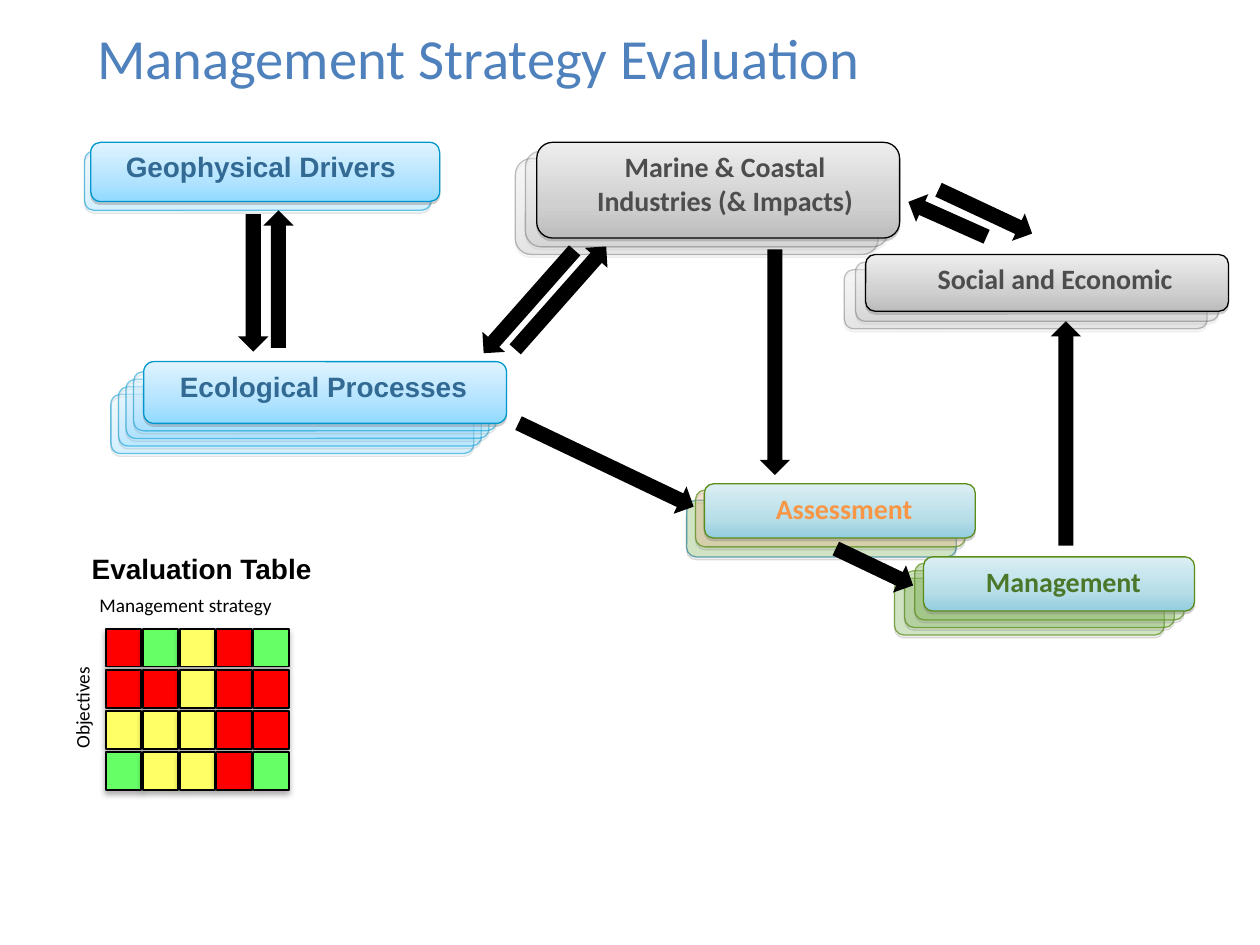
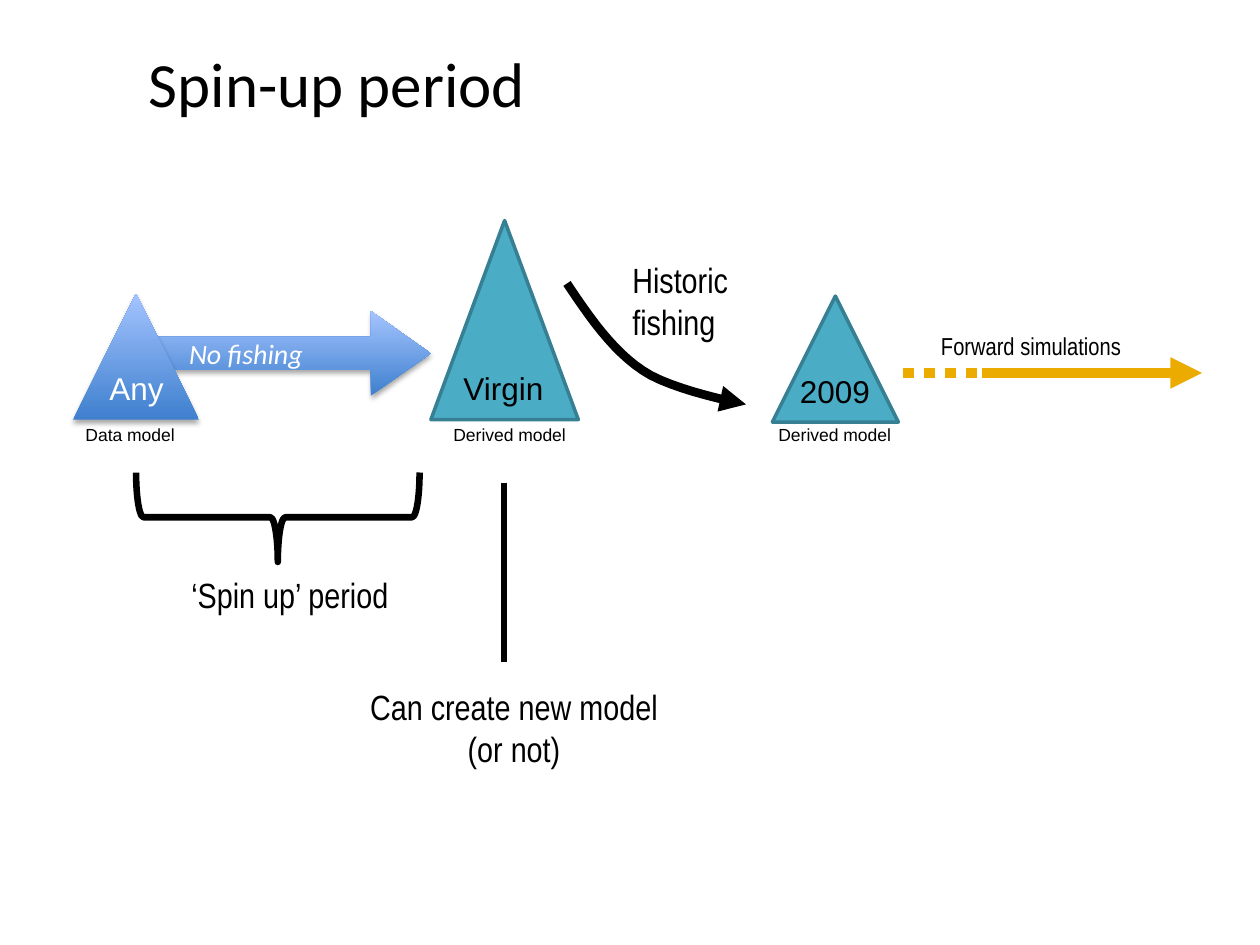
import pptx
import pptx.dml.color
import pptx.enum.dml
import pptx.enum.shapes
import pptx.enum.text
import pptx.oxml
import pptx.oxml.ns
import pptx.util

Inches = pptx.util.Inches
RGB = pptx.dml.color.RGBColor
SHAPE = pptx.enum.shapes.MSO_SHAPE
ALIGN = pptx.enum.text.PP_ALIGN

BLACK, WHITE = RGB(0, 0, 0), RGB(255, 255, 255)
TITLE_BLUE = RGB(0x4F, 0x81, 0xBD)
LABEL_BLUE, LABEL_GRAY = RGB(0x32, 0x6A, 0x94), RGB(0x4D, 0x4D, 0x4D)
LABEL_ORANGE, LABEL_GREEN = RGB(0xF7, 0x96, 0x46), RGB(0x4A, 0x77, 0x29)
EDGE_BLUE, EDGE_GREEN = RGB(0x00, 0x98, 0xCC), RGB(0x5A, 0x8E, 0x18)
EDGE_TEAL, TEAL, TEAL_DARK = RGB(0x31, 0x85, 0x9C), RGB(0x4B, 0xAC, 0xC6), RGB(0x37, 0x7F, 0x92)
GHOST_GREEN, GHOST_ORANGE = RGB(0x8E, 0xC9, 0x63), RGB(0xFA, 0xC0, 0x90)
GOLD = RGB(0xEB, 0xAB, 0x00)

# Gradients: angle, then (position, colour) stops
SKY = 90, [(0, RGB(0xE0, 0xF4, 0xFF)), (65, RGB(0xB2, 0xE3, 0xFF)), (100, RGB(0x90, 0xDA, 0xFF))]
GRAY = 90, [(0, RGB(0xED, 0xED, 0xED)), (65, RGB(0xD0, 0xD0, 0xD0)), (100, RGB(0xBC, 0xBC, 0xBC))]
AQUA = 90, [(0, RGB(0xDB, 0xEE, 0xF4)), (64, RGB(0xB7, 0xDE, 0xE8)), (100, RGB(0x93, 0xCD, 0xDD))]
BLUE = 270, [(0, RGB(0x3F, 0x80, 0xCE)), (100, RGB(0xA4, 0xC4, 0xFF))]

# Shadows: colour, opacity, blur and distance in points
CARD_SHADOW = RGB(0x80, 0x80, 0x80), 38, 0, 1.6
CELL_SHADOW = BLACK, 32, 3.5, 2.2
ARROW_SHADOW = BLACK, 35, 3.1, 1.8
GHOST_OPACITY = 31

HEADING = {"size": 16, "name": "Arial", "bold": True}
CARD_BOLD = {"size": 16, "name": "Calibri", "bold": True}
AXIS = {"size": 11, "name": "Calibri"}
STATE = {"size": 18, "name": "Arial"}
CAPTION = {"size": 10, "name": "Arial"}
NOTE = {"size": 20, "name": "Arial Narrow"}

# Each stack: front card, its label, and the fainter cards behind it, nearest first
STACKS = [
    dict(text="Geophysical Drivers", front=(0.72, 1.13, 2.77, 0.47), fill=SKY, edge=EDGE_BLUE,
         label=(0.18, 2.37), font=HEADING, color=LABEL_BLUE, align=ALIGN.LEFT, edge_opacity=52,
         ghost=(0.67, 1.2, 2.75, 0.47), step=(0, 0), ghosts=[(SKY, EDGE_BLUE)]),
    dict(text="Ecological Processes", front=(1.14, 2.87, 2.88, 0.49), fill=SKY, edge=EDGE_BLUE,
         label=(0.19, 2.63), font=HEADING, color=LABEL_BLUE, align=ALIGN.LEFT, edge_opacity=52,
         ghost=(1.06, 2.95, 2.88, 0.47), step=(0.06, 0.06), ghosts=[(SKY, EDGE_BLUE)] * 4),
    dict(text="Marine & Coastal Industries (& Impacts)", front=(4.26, 1.13, 2.88, 0.76),
         fill=GRAY, edge=BLACK, label=(0.18, 2.63), font=CARD_BOLD, color=LABEL_GRAY,
         align=ALIGN.CENTER, edge_opacity=21,
         ghost=(4.17, 1.2, 2.88, 0.76), step=(0.08, 0.06), ghosts=[(GRAY, BLACK)] * 2),
    dict(text="Social and Economic", front=(6.87, 2.02, 2.88, 0.45), fill=GRAY, edge=BLACK,
         label=(0.19, 2.63), font=CARD_BOLD, color=LABEL_GRAY, align=ALIGN.CENTER, edge_opacity=21,
         ghost=(6.79, 2.08, 2.88, 0.47), step=(0.09, 0.06), ghosts=[(GRAY, BLACK)] * 2),
    dict(text="Assessment", front=(5.59, 3.84, 2.15, 0.43), fill=AQUA, edge=EDGE_GREEN,
         label=(0.07, 2.08), font=CARD_BOLD, color=LABEL_ORANGE, align=ALIGN.CENTER, edge_opacity=72,
         ghost=(5.52, 3.89, 2.14, 0.45), step=(0.07, 0.08),
         ghosts=[(GHOST_ORANGE, EDGE_GREEN), (GHOST_GREEN, EDGE_TEAL)]),
    dict(text="Management", front=(7.33, 4.42, 2.15, 0.43), fill=AQUA, edge=EDGE_GREEN,
         label=(0.07, 2.08), font=CARD_BOLD, color=LABEL_GREEN, align=ALIGN.CENTER, edge_opacity=72,
         ghost=(7.26, 4.47, 2.14, 0.45), step=(0.08, 0.06), ghosts=[(GHOST_GREEN, EDGE_GREEN)] * 3),
]

# Flow arrows: preset, left, top, length, rotation
FLOW_WIDTH = 0.24
FLOWS = [
    (SHAPE.DOWN_ARROW, 4.08, 1.85, 1.09, 41.5), (SHAPE.UP_ARROW, 4.33, 1.82, 1.09, 41.5),
    (SHAPE.DOWN_ARROW, 1.89, 1.7, 1.09, 0), (SHAPE.UP_ARROW, 2.09, 1.67, 1.09, 0),
    (SHAPE.UP_ARROW, 4.69, 2.92, 1.54, 115.5), (SHAPE.DOWN_ARROW, 6.03, 1.98, 1.79, 0),
    (SHAPE.UP_ARROW, 6.82, 4.16, 0.68, 115.5), (SHAPE.UP_ARROW, 8.34, 2.55, 1.78, 0),
    (SHAPE.UP_ARROW, 7.4, 1.4, 0.68, 294), (SHAPE.UP_ARROW, 7.7, 1.27, 0.82, 115.1),
]

SCORES = ["RGYRG", "RRYRR", "YYYRR", "GYYRG"]
SCORE_COLORS = {"R": RGB(255, 0, 0), "G": RGB(0x66, 0xFF, 0x66), "Y": RGB(0xFF, 0xFF, 0x66)}
GRID_LEFT, GRID_TOP, CELL_WIDTH, CELL_HEIGHT = 0.84, 4.99, 0.28, 0.3
COLUMN_PITCH, ROW_PITCH = 0.293, 0.327

# Model states: box, fill, edge, shadow
MODELS = [
    ((3.42, 1.75, 1.17, 1.58), TEAL, TEAL_DARK, None),
    ((0.58, 2.33, 1, 1), BLUE, None, ARROW_SHADOW),
    ((6.13, 2.35, 1, 1), TEAL, TEAL_DARK, None),
]
SPIN_UP_TEXTS = [
    ("Forward simulations", (7.37, 2.58, 2.5, 0.33), {**NOTE, "size": 14}, BLACK, ALIGN.LEFT),
    ("Virgin", (3.58, 2.88, 1.05, 0.4), STATE, BLACK, ALIGN.LEFT),
    ("Any", (0.77, 2.88, 0.83, 0.4), STATE, WHITE, ALIGN.LEFT),
    ("2009", (6.25, 2.9, 0.83, 0.4), STATE, BLACK, ALIGN.LEFT),
    ("Data model", (0.58, 3.32, 1.75, 0.27), CAPTION, BLACK, ALIGN.LEFT),
    ("Derived model", (3.5, 3.32, 1.75, 0.27), CAPTION, BLACK, ALIGN.LEFT),
    ("Derived model", (6.08, 3.32, 1.17, 0.27), CAPTION, BLACK, ALIGN.LEFT),
    ("‘Spin up’ period", (1.42, 4.5, 2.5, 0.44), NOTE, BLACK, ALIGN.LEFT),
    ("Historic fishing", (4.92, 2, 1.25, 0.77), NOTE, BLACK, ALIGN.LEFT),
    ("Can create new model\n(or not)", (2.83, 5.39, 2.5, 0.77), NOTE, BLACK, ALIGN.CENTER),
]
FISHING_CURVE = [
    [(4.5, 2.25), (4.68, 2.52), (4.86, 2.78), (5.1, 2.94)],
    [(5.1, 2.94), (5.33, 3.1), (5.92, 3.21), (5.92, 3.21)],
]
CURVE_STEPS = 12


def inches(values):
    return [Inches(value) for value in values]


def append_xml(parent, tag, inner="", attributes=""):
    namespace = pptx.oxml.ns.nsdecls("a")
    parent.append(pptx.oxml.parse_xml(f"<a:{tag} {namespace} {attributes}>{inner}</a:{tag}>"))


def color_xml(color, opacity):
    return f'<a:srgbClr val="{color}"><a:alpha val="{opacity * 1000}"/></a:srgbClr>'


def paint(shape, fill=None, edge=None, edge_width=0.75, opacity=100, edge_opacity=100, shadow=None):
    """Set fill (colour, gradient or None), outline and shadow in the order the schema wants."""
    properties = shape.element.spPr
    if fill is None:
        shape.fill.background()
    elif isinstance(fill, RGB):
        append_xml(properties, "solidFill", color_xml(fill, opacity))
    else:
        angle, stops = fill
        marks = "".join(f'<a:gs pos="{position * 1000}">{color_xml(color, opacity)}</a:gs>'
                        for position, color in stops)
        append_xml(properties, "gradFill",
                   f'<a:gsLst>{marks}</a:gsLst><a:lin ang="{angle * 60000}" scaled="0"/>',
                   'rotWithShape="1"')
    if edge is None:
        shape.line.fill.background()
    else:
        shape.line.color.rgb = edge
        shape.line.width = pptx.util.Pt(edge_width)
        edge_color = properties.find(pptx.oxml.ns.qn("a:ln")).find(".//" + pptx.oxml.ns.qn("a:srgbClr"))
        append_xml(edge_color, "alpha", attributes=f'val="{edge_opacity * 1000}"')
    add_shadow(shape, shadow)


def add_shadow(shape, shadow=None):
    effect = ""
    if shadow:
        color, opacity, blur, distance = shadow
        effect = (f'<a:outerShdw blurRad="{round(blur * 12700)}" dist="{round(distance * 12700)}" '
                  f'dir="5400000" rotWithShape="0">{color_xml(color, opacity)}</a:outerShdw>')
    append_xml(shape.element.spPr, "effectLst", effect)


def add_arrowhead(shape):
    append_xml(shape.element.spPr.find(pptx.oxml.ns.qn("a:ln")), "tailEnd", attributes='type="triangle"')


def add_preset(page, preset, box, **look):
    shape = page.shapes.add_shape(preset, *inches(box))
    paint(shape, **look)
    return shape


def write(shape, text, font, color, align=ALIGN.LEFT):
    frame = shape.text_frame
    frame.word_wrap = True
    frame.auto_size = pptx.enum.text.MSO_AUTO_SIZE.NONE
    frame.text = text
    for para in frame.paragraphs:
        para.alignment = align
        for name, value in font.items():
            setattr(para.font, name, pptx.util.Pt(value) if name == "size" else value)
        para.font.color.rgb = color


def add_text(page, text, box, font, color=BLACK, align=ALIGN.LEFT):
    text_box = page.shapes.add_textbox(*inches(box))
    write(text_box, text, font, color, align)
    return text_box


def add_line(page, start, end, color, width, dash=None):
    line = page.shapes.add_connector(pptx.enum.shapes.MSO_CONNECTOR.STRAIGHT, *inches(start + end))
    line.line.color.rgb = color
    line.line.width = pptx.util.Pt(width)
    if dash:
        line.line.dash_style = dash
    add_shadow(line)
    return line


def add_page(deck, title, box, size, color):
    page = deck.slides.add_slide(deck.slide_layouts[5])
    heading = page.shapes.title
    heading.left, heading.top, heading.width, heading.height = inches(box)
    write(heading, title, {"size": size, "name": "Calibri"}, color)
    heading.text_frame.vertical_anchor = pptx.enum.text.MSO_ANCHOR.MIDDLE
    return page


def add_stack(page, stack):
    left, top, width, height = stack["ghost"]
    step_x, step_y = stack["step"]
    for index, (fill, edge) in reversed(list(enumerate(stack["ghosts"]))):
        box = left - index * step_x, top + index * step_y, width, height
        add_preset(page, SHAPE.ROUNDED_RECTANGLE, box, fill=fill, edge=edge, opacity=GHOST_OPACITY,
                   edge_opacity=stack["edge_opacity"], shadow=CARD_SHADOW)
    left, top, _, height = stack["front"]
    add_preset(page, SHAPE.ROUNDED_RECTANGLE, stack["front"], fill=stack["fill"],
               edge=stack["edge"], shadow=CARD_SHADOW)
    inset, width = stack["label"]
    add_text(page, stack["text"], (left + inset, top + 0.01, width, height - 0.1),
             stack["font"], stack["color"], stack["align"])


def add_evaluation_table(page):
    for row, scores in enumerate(SCORES):
        for column, score in enumerate(scores):
            box = (GRID_LEFT + column * COLUMN_PITCH, GRID_TOP + row * ROW_PITCH, CELL_WIDTH, CELL_HEIGHT)
            add_preset(page, SHAPE.RECTANGLE, box, fill=SCORE_COLORS[score], edge=BLACK,
                       edge_width=1, shadow=CELL_SHADOW)
    add_text(page, "Evaluation Table", (0.63, 4.33, 2.06, 0.37), HEADING)
    add_text(page, "Management strategy", (0.69, 4.66, 1.79, 0.28), AXIS)
    add_text(page, "Objectives", (0.18, 5.42, 0.95, 0.29), AXIS).rotation = 270


def curve_points(segments):
    """Sample cubic Bezier segments into a list of points."""
    points = [segments[0][0]]
    for segment in segments:
        for step in range(1, CURVE_STEPS + 1):
            t = step / CURVE_STEPS
            weights = (1 - t) ** 3, 3 * t * (1 - t) ** 2, 3 * t ** 2 * (1 - t), t ** 3
            points.append(tuple(sum(w * value for w, value in zip(weights, axis))
                                for axis in zip(*segment)))
    return points


def add_fishing_curve(page):
    start, *rest = [inches(point) for point in curve_points(FISHING_CURVE)]
    builder = page.shapes.build_freeform(*start)
    builder.add_line_segments(rest, close=False)
    curve = builder.convert_to_shape()
    paint(curve, edge=BLACK, edge_width=5)
    add_arrowhead(curve)


def build_strategy_page(deck):
    page = add_page(deck, "Management Strategy Evaluation", (0.67, 0.13, 8.99, 0.64), 32.4, TITLE_BLUE)
    for stack in STACKS:
        add_stack(page, stack)
    for preset, left, top, length, rotation in FLOWS:
        add_preset(page, preset, (left, top, FLOW_WIDTH, length), fill=BLACK).rotation = rotation
    add_evaluation_table(page)


def build_spin_up_page(deck):
    page = add_page(deck, "Spin-up period", (1.08, 0.2, 8.9, 0.91), 36, BLACK)
    add_arrowhead(add_line(page, (7.79, 2.96), (9.54, 2.96), GOLD, 6))
    add_line(page, (7.17, 2.96), (8.08, 2.96), GOLD, 6, pptx.enum.dml.MSO_LINE.ROUND_DOT)

    no_fishing = add_preset(page, SHAPE.RIGHT_ARROW, (1.2, 2.47, 2.22, 0.67), fill=BLUE, shadow=ARROW_SHADOW)
    no_fishing.adjustments[0], no_fishing.adjustments[1] = 0.39, 0.71
    write(no_fishing, "No fishing", {"size": 16, "name": "Calibri", "italic": True}, WHITE)
    no_fishing.text_frame.margin_left = Inches(0.3)

    for box, fill, edge, shadow in MODELS:
        add_preset(page, SHAPE.ISOSCELES_TRIANGLE, box, fill=fill, edge=edge, edge_width=2, shadow=shadow)
    brace = add_preset(page, SHAPE.LEFT_BRACE, (1.85, 2.98, 0.71, 2.25), edge=BLACK, edge_width=3.75)
    brace.rotation = 270
    add_fishing_curve(page)
    add_line(page, (4, 3.83), (4, 5.25), BLACK, 3.25)
    for text in SPIN_UP_TEXTS:
        add_text(page, *text)


def main():
    deck = pptx.Presentation()
    deck.slide_width, deck.slide_height = Inches(10), Inches(7.5)
    build_strategy_page(deck)
    build_spin_up_page(deck)
    deck.save("out.pptx")


if __name__ == "__main__":
    main()
